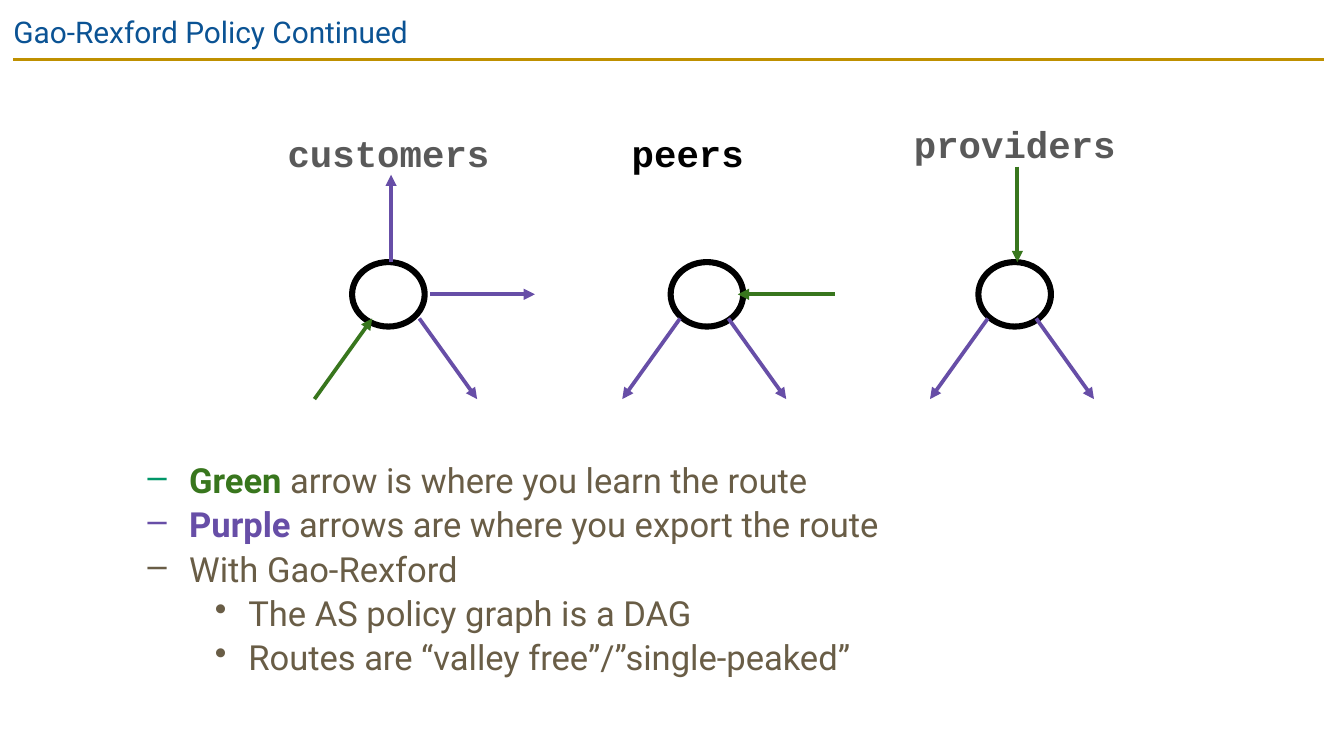
"""Build the Gao-Rexford policy slide with its three route export diagrams."""
from lxml.etree import SubElement
from pptx import Presentation
from pptx.dml.color import RGBColor
from pptx.enum.shapes import MSO_CONNECTOR, MSO_SHAPE
from pptx.enum.text import MSO_ANCHOR, PP_ALIGN
from pptx.oxml.ns import qn
from pptx.util import Inches, Pt

THEME = {
    "title": "0B5394", "rule": "BF9000", "learn": "38761D", "export": "674EA7",
    "body": "695D46", "bullet": "009668", "label": "595959", "black": "000000",
    "sans": "Roboto", "mono": "Courier New",
    "title_size": 16, "label_size": 20, "body_size": 18.5,
    "rule_width": 1.5, "arrow_width": 2, "node_width": 3.25,
}
TITLE = "Gao-Rexford Policy Continued"
NODE_TOP, NODE_WIDTH, NODE_HEIGHT = 1.95, 0.54, 0.48
NODE_MIDDLE = NODE_TOP + NODE_HEIGHT / 2
LEG_TOP, LEG_DROP, LEG_RUN = 2.37, 0.6, 0.43


def leg(x, side):
    """Return the upper and lower ends of a leg that slants to one side."""
    return (x, LEG_TOP), (x + side * LEG_RUN, LEG_TOP + LEG_DROP)


PANELS = [
    {"node": 2.62, "label": ("customers", (2.09, 0.92, 1.64, 0.23), "label"),
     "learn": leg(2.77, -1)[::-1],
     "export": [((2.91, NODE_TOP), (2.91, 1.3)),
                ((3.2, NODE_MIDDLE), (3.98, NODE_MIDDLE)), leg(3.12, 1)]},
    {"node": 4.99, "label": ("peers", (4.65, 0.92, 1.18, 0.3), "black"),
     "learn": ((6.21, NODE_MIDDLE), (5.49, NODE_MIDDLE)),
     "export": [leg(5.06, -1), leg(5.42, 1)]},
    {"node": 7.28, "label": ("providers", (6.75, 0.85, 1.76, 0.23), "label"),
     "learn": ((7.57, 1.24), (7.57, NODE_TOP)),
     "export": [leg(7.35, -1), leg(7.71, 1)]},
]
DASH = {"mark": "–", "margin": 0.81, "indent": -0.31, "level": 1}
DOT = {"mark": "•", "margin": 1.25, "indent": -0.25, "level": 2, "color": "body"}
POINTS = [
    ([("Green", "learn", True), (" arrow is where you learn the route", "body", False)],
     {**DASH, "color": "bullet"}),
    ([("Purple", "export", True), (" arrows are where you export the route", "body", False)],
     {**DASH, "color": "export"}),
    ([("With Gao-Rexford", "body", False)], {**DASH, "color": "body"}),
    ([("The AS policy graph is a DAG", "body", False)], DOT),
    ([("Routes are “valley free”/”single-peaked”", "body", False)], DOT),
]


def color(name):
    return RGBColor.from_string(THEME[name])


def write(para, text, *, size, font, ink, bold=False):
    span = para.add_run()
    span.text = text
    span.font.size = Pt(THEME[size])
    span.font.name = THEME[font]
    span.font.color.rgb = color(ink)
    span.font.bold = bold


def set_frame(box, inset_x, inset_top, inset_bottom):
    frame = box.text_frame
    frame.word_wrap = True
    frame.vertical_anchor = MSO_ANCHOR.TOP
    frame.margin_left = frame.margin_right = Inches(inset_x)
    frame.margin_top, frame.margin_bottom = Inches(inset_top), Inches(inset_bottom)
    return frame


def add_text_frame(page, place, inset_x, inset_top=0.05):
    box = page.shapes.add_textbox(*map(Inches, place))
    return set_frame(box, inset_x, inset_top, 0.05)


def add_line(page, start, end, ink, width, arrow=False):
    line = page.shapes.add_connector(
        MSO_CONNECTOR.STRAIGHT, *map(Inches, (*start, *end)))
    line.line.color.rgb = color(ink)
    line.line.width = Pt(THEME[width])
    if arrow:
        SubElement(line.line._get_or_add_ln(), qn("a:tailEnd"), type="triangle")
    SubElement(line._element.spPr, qn("a:effectLst"))


def add_title(page):
    title = page.shapes.title
    title.left, title.top, title.width, title.height = map(Inches, (0, 0, 10, 0.43))
    para = set_frame(title, 0.1, 0.1, 0.1).paragraphs[0]
    para.alignment = PP_ALIGN.LEFT
    write(para, TITLE, size="title_size", font="sans", ink="title")
    add_line(page, (0.1, 0.44), (9.85, 0.44), "rule", "rule_width")


def add_panel(page, panel):
    node = page.shapes.add_shape(
        MSO_SHAPE.OVAL, *map(Inches, (panel["node"], NODE_TOP, NODE_WIDTH, NODE_HEIGHT)))
    node.shadow.inherit = False
    node.fill.background()
    node.line.color.rgb = color("black")
    node.line.width = Pt(THEME["node_width"])
    text, place, ink = panel["label"]
    frame = add_text_frame(page, place, 0.05)
    write(frame.paragraphs[0], text, size="label_size", font="mono", ink=ink, bold=True)
    add_line(page, *panel["learn"], "learn", "arrow_width", arrow=True)
    for ends in panel["export"]:
        add_line(page, *ends, "export", "arrow_width", arrow=True)


def add_bullet(para, bullet):
    para.level = bullet["level"]
    properties = para._p.get_or_add_pPr()
    properties.set("marL", str(Inches(bullet["margin"])))
    properties.set("indent", str(Inches(bullet["indent"])))
    ink = SubElement(properties, qn("a:buClr"))
    SubElement(ink, qn("a:srgbClr"), val=THEME[bullet["color"]])
    SubElement(properties, qn("a:buChar"), char=bullet["mark"])


def add_points(page):
    frame = add_text_frame(page, (0.5, 1, 9, 4.46), 0.1, inset_top=2.45)
    for index, (spans, bullet) in enumerate(POINTS):
        para = frame.add_paragraph() if index else frame.paragraphs[0]
        para.line_spacing = 0.9
        para.space_after = Pt(3.7)
        add_bullet(para, bullet)
        for text, ink, bold in spans:
            write(para, text, size="body_size", font="sans", ink=ink, bold=bold)


def main():
    deck = Presentation()
    deck.slide_width = Inches(10)
    deck.slide_height = deck.slide_width * 9 // 16
    page = deck.slides.add_slide(deck.slide_layouts[5])
    add_title(page)
    add_points(page)
    for panel in PANELS:
        add_panel(page, panel)
    deck.save("out.pptx")


if __name__ == "__main__":
    main()
